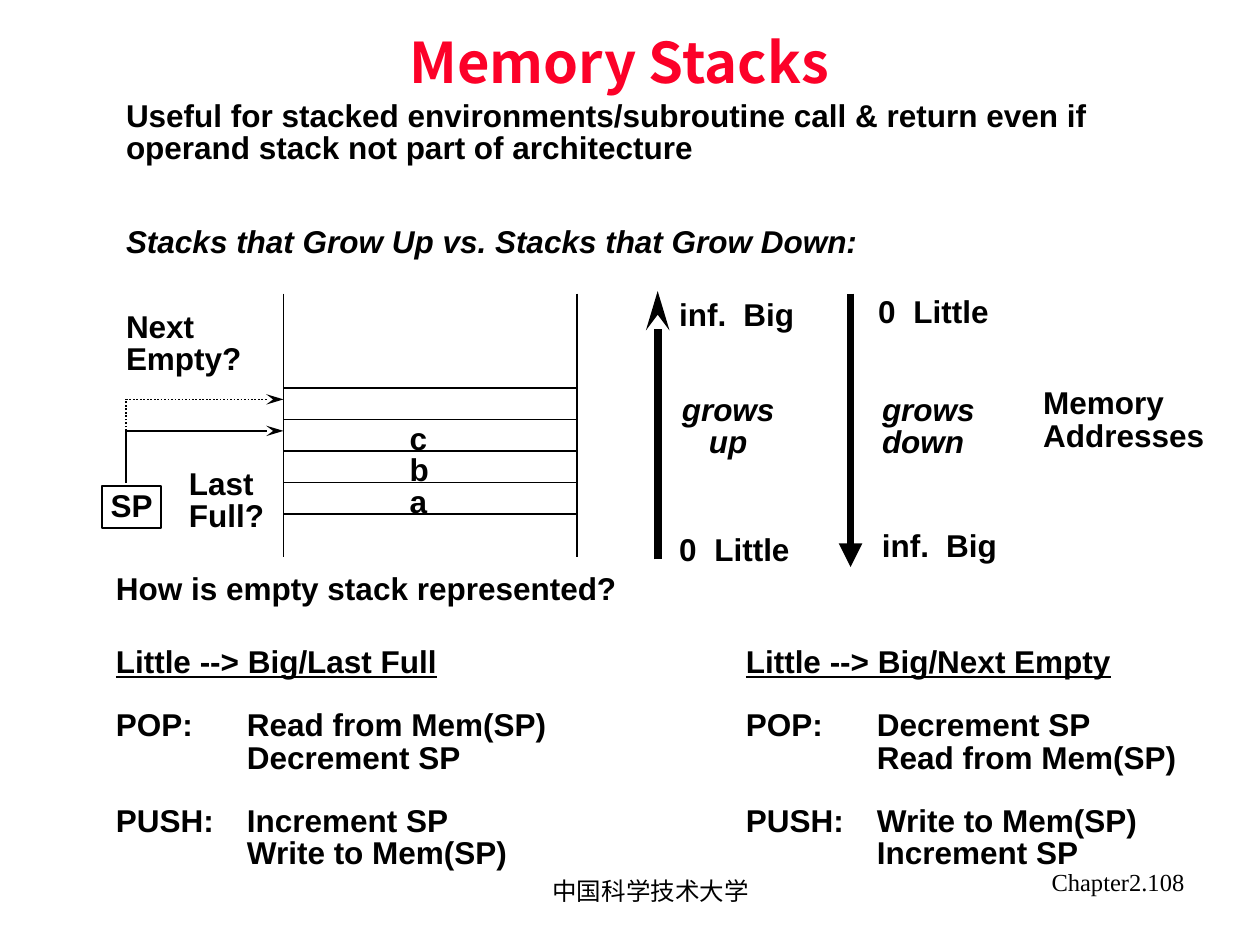
from dataclasses import dataclass
from typing import Optional

from pptx import Presentation
from pptx.dml import color
from pptx.enum import dml, shapes, text
from pptx.oxml import ns
from pptx.util import Inches, Pt
from lxml import etree

BLACK, RED = "000000", "FC0128"
LEFT, CENTER, RIGHT = text.PP_ALIGN.LEFT, text.PP_ALIGN.CENTER, text.PP_ALIGN.RIGHT
TOP, MIDDLE = text.MSO_ANCHOR.TOP, text.MSO_ANCHOR.MIDDLE


@dataclass
class Label:
    lines: list[str]
    left: float
    top: float
    width: float
    height: float = 0.31
    size: float = 18
    font: str = "Arial"
    color: str = BLACK
    bold: bool = True
    italic: bool = False
    align: text.PP_ALIGN = LEFT
    anchor: text.MSO_ANCHOR = TOP
    spacing: Optional[float] = 0.85
    margins: tuple[float, float] = (0.07, 0.03)
    tab: Optional[float] = None


@dataclass
class Line:
    x1: float
    y1: float
    x2: float
    y2: float
    width: float = 1
    arrow: Optional[str] = None
    arrow_length: str = "med"
    dotted: bool = False


def rgb(value: str) -> color.RGBColor:
    return color.RGBColor.from_string(value)


def add_tab(para, position: float) -> None:
    tabs = etree.SubElement(para._p.get_or_add_pPr(), ns.qn("a:tabLst"))
    etree.SubElement(tabs, ns.qn("a:tab"), pos=str(Inches(position)), algn="l")


def write(box, label: Label) -> None:
    frame = box.text_frame
    frame.text = "\n".join(label.lines)
    frame.word_wrap = True
    frame.auto_size = text.MSO_AUTO_SIZE.NONE
    frame.vertical_anchor = label.anchor
    frame.margin_left = frame.margin_right = Inches(label.margins[0])
    frame.margin_top = frame.margin_bottom = Inches(label.margins[1])
    for para in frame.paragraphs:
        if label.tab:
            add_tab(para, label.tab)
        para.alignment = label.align
        if label.spacing:
            para.line_spacing = label.spacing
        for span in para.runs:
            span.font.name = label.font
            span.font.size = Pt(label.size)
            span.font.bold = label.bold
            span.font.italic = label.italic
            span.font.color.rgb = rgb(label.color)


def bounds(label: Label) -> list[int]:
    return [Inches(v) for v in (label.left, label.top, label.width, label.height)]


def add_label(page, label: Label):
    box = page.shapes.add_textbox(*bounds(label))
    write(box, label)
    return box


def add_framed_label(page, label: Label) -> None:
    box = page.shapes.add_shape(shapes.MSO_SHAPE.RECTANGLE, *bounds(label))
    box.shadow.inherit = False
    box.fill.background()
    box.line.color.rgb = rgb(BLACK)
    box.line.width = Pt(1)
    write(box, label)


def add_line(page, line: Line) -> None:
    ends = [Inches(v) for v in (line.x1, line.y1, line.x2, line.y2)]
    connector = page.shapes.add_connector(shapes.MSO_CONNECTOR.STRAIGHT, *ends)
    connector.line.color.rgb = rgb(BLACK)
    connector.line.width = Pt(line.width)
    if line.dotted:
        connector.line.dash_style = dml.MSO_LINE.ROUND_DOT
    if line.arrow:
        etree.SubElement(connector.line._get_or_add_ln(), ns.qn("a:tailEnd"),
                         type=line.arrow, w="med", len=line.arrow_length)
    etree.SubElement(connector._element.spPr, ns.qn("a:effectLst"))


def add_operations(page, left: float, heading: str,
                   pop: tuple[str, str], push: tuple[str, str]) -> None:
    lines = [heading,
             f"POP:\t{pop[0]}", f"\t{pop[1]}",
             f"PUSH:\t{push[0]}", f"\t{push[1]}"]
    box = add_label(page, Label(lines, left, 5.11, 3.7, 1.84, tab=1.04))
    paras = box.text_frame.paragraphs
    paras[0].runs[0].font.underline = True
    for para in (paras[1], paras[3]):
        para.space_before = Pt(18)


def main() -> None:
    deck = Presentation()
    deck.slide_width, deck.slide_height = Inches(10), Inches(7.5)
    page = deck.slides.add_slide(deck.slide_layouts[6])

    # Footer, title and introduction
    footer = dict(size=14, font="Times New Roman", bold=False, spacing=None,
                  margins=(0.1, 0.05))
    headings = [
        Label(["中国科学技术大学"], 3.58, 6.82, 3.17, 0.5, align=CENTER, anchor=MIDDLE, **footer),
        Label(["Chapter2.108"], 7.17, 6.83, 2.33, 0.52, align=RIGHT, **footer),
        Label(["Memory Stacks"], 0.92, 0.25, 7.99, 0.54, size=32, font="Noto Sans CJK SC",
              color=RED, align=CENTER, spacing=0.9),
        Label(["Useful for stacked environments/subroutine call & return even if",
               "operand stack not part of architecture"], 0.93, 0.78, 7.95, 0.57),
        Label(["Stacks that Grow Up vs. Stacks that Grow Down:"], 0.93, 1.78, 6.05, italic=True),
        Label(["How is empty stack represented?"], 0.85, 4.53, 4.25),
    ]
    for label in headings:
        add_label(page, label)

    # Stack walls, cell borders and contents
    stack_left, stack_right, cell_top, cell_height = 2.25, 4.58, 3.08, 0.25
    for x in (stack_left, stack_right):
        add_line(page, Line(x, 2.33, x, 4.42))
    for row in range(5):
        y = cell_top + row * cell_height
        add_line(page, Line(stack_left, y, stack_right, y))
    for row, item in enumerate("cba", start=1):
        add_label(page, Label([item], 3.18, cell_top + row * cell_height + 0.01, 0.32))

    # Stack pointer and its two possible targets
    sp_x, full_y, empty_y = 1, 3.42, 3.17
    add_framed_label(page, Label(["SP"], 0.81, 3.86, 0.47, 0.33, align=CENTER,
                                 anchor=MIDDLE, spacing=0.92, margins=(0, 0.03)))
    pointer = dict(arrow="stealth", arrow_length="lg")
    for line in (Line(sp_x, 3.83, sp_x, full_y),
                 Line(sp_x, full_y, stack_left, full_y, **pointer),
                 Line(sp_x, full_y, sp_x, empty_y, dotted=True),
                 Line(sp_x, empty_y, stack_left, empty_y, dotted=True, **pointer)):
        add_line(page, line)
    add_label(page, Label(["Next", "Empty?"], 0.93, 2.45, 1.15, 0.57))
    add_label(page, Label(["Last", "Full?"], 1.43, 3.7, 0.8, 0.57))

    # Growth directions
    add_line(page, Line(5.22, 4.44, 5.22, 2.31, width=4.5, **pointer))
    add_line(page, Line(6.75, 2.33, 6.75, 4.5, width=4.5, arrow="triangle"))
    for left, top in ((5.32, 4.22), (6.9, 2.33)):
        add_label(page, Label(["0\tLittle"], left, top, 1.2, tab=0.28))
    for left, top in ((5.32, 2.36), (6.93, 4.19)):
        add_label(page, Label(["inf.\tBig"], left, top, 1.2, tab=0.51))
    add_label(page, Label(["grows", "up"], 5.33, 3.11, 0.9, 0.57, italic=True, align=CENTER))
    add_label(page, Label(["grows", "down"], 6.93, 3.11, 0.95, 0.57, italic=True))
    add_label(page, Label(["Memory", "Addresses"], 8.21, 3.06, 1.5, 0.57))

    # Pop and push steps for each convention
    read, write_step = "Read from Mem(SP)", "Write to Mem(SP)"
    decrement, increment = "Decrement SP", "Increment SP"
    add_operations(page, 0.85, "Little --> Big/Last Full",
                   (read, decrement), (increment, write_step))
    add_operations(page, 5.85, "Little --> Big/Next Empty",
                   (decrement, read), (write_step, increment))

    deck.save("out.pptx")


if __name__ == "__main__":
    main()
